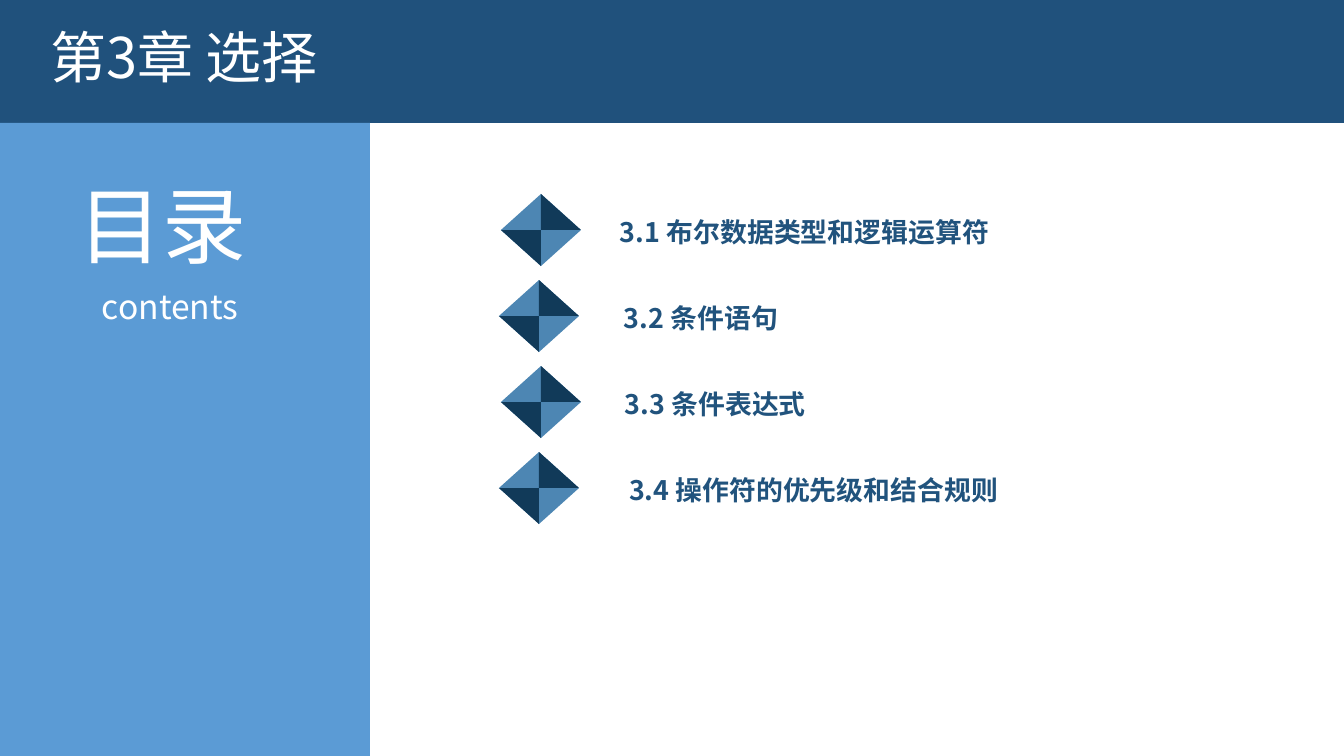
from pptx import Presentation
from pptx.dml.color import RGBColor
from pptx.enum.shapes import MSO_SHAPE
from pptx.enum.text import MSO_ANCHOR, MSO_AUTO_SIZE, PP_ALIGN
from pptx.oxml.ns import qn
from pptx.util import Inches, Pt
from lxml import etree

RECT = MSO_SHAPE.RECTANGLE
TRIANGLE = MSO_SHAPE.ISOSCELES_TRIANGLE
TOP = MSO_ANCHOR.TOP
NO_FIT = MSO_AUTO_SIZE.NONE
LEFT = PP_ALIGN.LEFT

BANNER = RGBColor(0x20, 0x51, 0x7C)
SIDEBAR = RGBColor(0x5B, 0x9B, 0xD5)
LIGHT = RGBColor(0x4D, 0x86, 0xB3)
DARK = RGBColor(0x11, 0x3A, 0x59)
ITEM = RGBColor(0x21, 0x53, 0x7D)
WHITE = RGBColor(0xFF, 0xFF, 0xFF)
FONT = "Noto Sans CJK SC"
PX = Inches(1) / 100.8


def paint(sp, color):
    sp.shadow.inherit = False
    sp.fill.solid()
    sp.fill.fore_color.rgb = color
    sp.line.fill.background()


def write(sp, box, text, size, color, wrap=True):
    sp.left, sp.top, sp.width, sp.height = [round(v * PX) for v in box]
    tf = sp.text_frame
    tf.text = text
    tf.word_wrap = wrap
    tf.auto_size = NO_FIT
    tf.vertical_anchor = TOP
    p = tf.paragraphs[0]
    p.alignment = LEFT
    r = p.runs[0]
    r.font.size = Pt(size)
    r.font.name = FONT
    r.font.color.rgb = color
    etree.SubElement(r.font._element, qn("a:ea"), typeface=FONT)
    return r


prs = Presentation()
prs.slide_width = round(1344 * PX)
prs.slide_height = round(756 * PX)
s = prs.slides.add_slide(prs.slide_layouts[5])

for box, color in [((0, 0, 1344, 123), BANNER), ((0, 123, 370, 633), SIDEBAR)]:
    sp = s.shapes.add_shape(RECT, *[round(v * PX) for v in box])
    paint(sp, color)

title = s.shapes.title
s.shapes._spTree.append(title._element)
write(title, (40, 17, 812, 78), "第3章 选择", 40, WHITE)
write(s.shapes.add_textbox(0, 0, 0, 0), (69, 169, 221, 112), "目录", 60, WHITE)
write(s.shapes.add_textbox(0, 0, 0, 0), (92, 281, 175, 51), "contents", 24, WHITE)

items = [
    ("3.1 布尔数据类型和逻辑运算符", 501, 612, 485),
    ("3.2 条件语句", 499, 616, 214),
    ("3.3 条件表达式", 501, 617, 247),
    ("3.4 操作符的优先级和结合规则", 499, 621, 485),
]
half_w, half_h, pitch = 40, 36, 86
for i, (text, left, text_left, text_width) in enumerate(items):
    top = 194 + i * pitch
    cx, mid = left + half_w, top + half_h
    diamond = s.shapes.add_group_shape()
    for y, side, angle in [(top, 1, 0), (mid, -1, 180)]:
        box = (left, y, 2 * half_w, half_h)
        sp = diamond.shapes.add_shape(TRIANGLE, *[round(v * PX) for v in box])
        sp.rotation = angle
        paint(sp, LIGHT)
        fb = diamond.shapes.build_freeform(cx, mid - side * half_h, scale=PX)
        fb.add_line_segments([(cx, mid), (cx + side * half_w, mid)])
        paint(fb.convert_to_shape(), DARK)
    label = s.shapes.add_textbox(0, 0, 0, 0)
    r = write(label, (text_left, top + 11, text_width, 48), text, 24, ITEM, False)
    r.font.bold = True
    r.font._element.set("cap", "small")
    tf = label.text_frame
    tf.margin_left = tf.margin_right = round(8 * PX)
    tf.margin_top = tf.margin_bottom = round(4 * PX)

prs.save("out.pptx")
